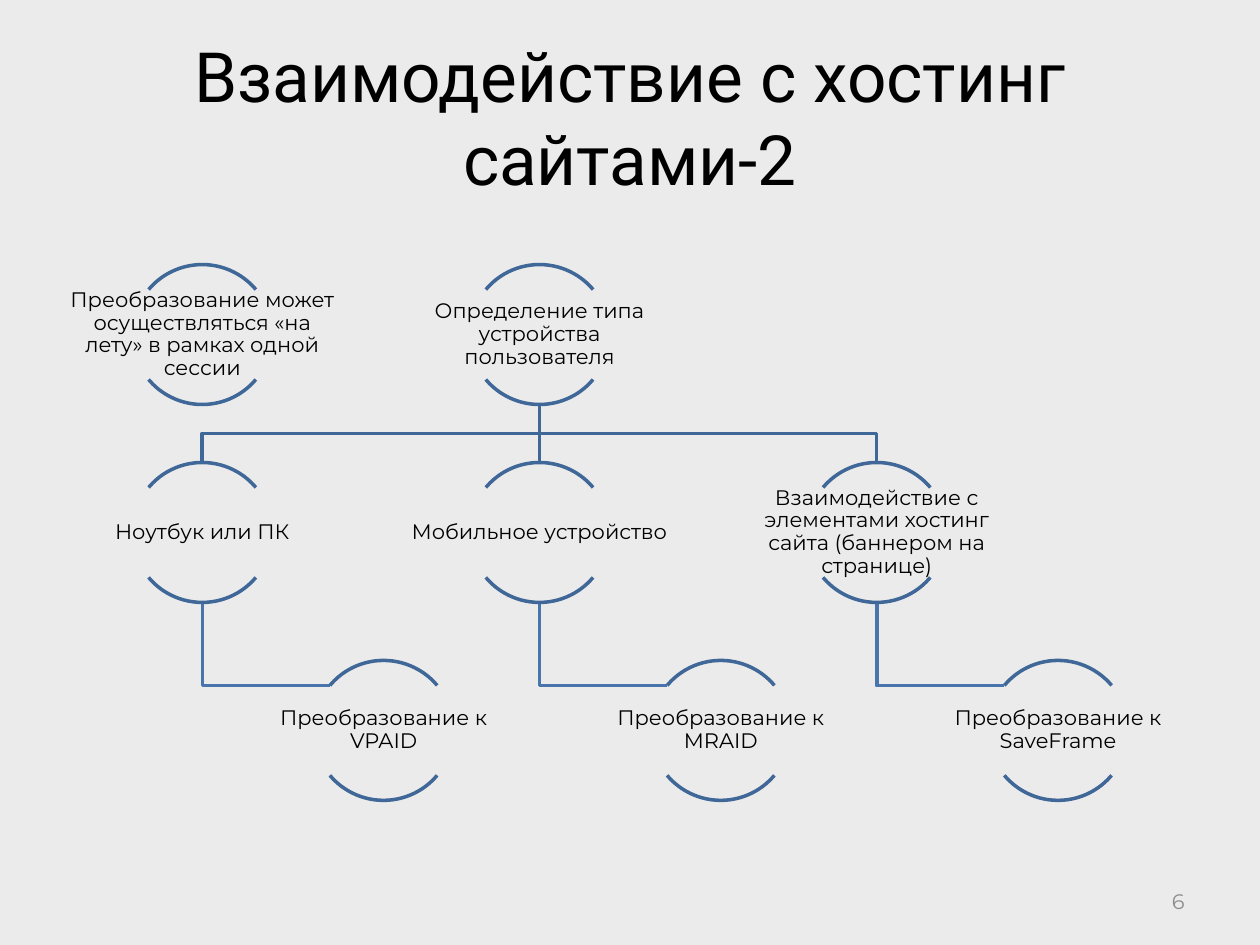
import pptx
import pptx.dml.color
import pptx.enum.shapes
import pptx.enum.text
import pptx.oxml
import pptx.util

Pt = pptx.util.Pt
RGBColor = pptx.dml.color.RGBColor
ALIGN = pptx.enum.text.PP_ALIGN
MIDDLE = pptx.enum.text.MSO_ANCHOR.MIDDLE

BACKGROUND = RGBColor(0xEB, 0xEB, 0xEB)
BLACK = RGBColor(0x00, 0x00, 0x00)
GRAY = RGBColor(0x8C, 0x8C, 0x8C)
DARK_BLUE = RGBColor(0x3F, 0x67, 0x97)
BLUE = RGBColor(0x48, 0x75, 0xAC)

COLUMNS = [115.6 + 192.7 * column for column in range(3)]
ROWS = [151.2 + 113.1 * row for row in range(3)]
CHILD_SHIFT = 103.6
DIAMETER = 80
LABEL_WIDTH, LABEL_HEIGHT, LABEL_DROP = 159.1, 51.1, 14.4
ARC_END = 30.6
# Arc adjustments are degrees * 60000, scaled by 1 / 100000.
ARCS = [(220, 320), (40, 140)]


def write(shape, text, size, font, color, align):
    """Put one formatted run, centred vertically, into a shape."""
    frame = shape.text_frame
    frame.word_wrap = True
    frame.vertical_anchor = MIDDLE
    paragraph = frame.paragraphs[0]
    paragraph.alignment = align
    run = paragraph.add_run()
    run.text = text
    run.font.size = Pt(size)
    run.font.name = font
    run.font.color.rgb = color
    return paragraph


def draw_path(points, color):
    """Draw an open, unfilled line through points."""
    corners = [(Pt(x), Pt(y)) for x, y in points]
    builder = slide.shapes.build_freeform(*corners[0])
    builder.add_line_segments(corners[1:], close=False)
    shape = builder.convert_to_shape()
    shape.shadow.inherit = False
    shape.fill.background()
    shape.line.color.rgb = color
    shape.line.width = Pt(2)


presentation = pptx.Presentation()
presentation.slide_width = Pt(720)
presentation.slide_height = Pt(540)
slide = presentation.slides.add_slide(presentation.slide_layouts[5])
slide.background.fill.solid()
slide.background.fill.fore_color.rgb = BACKGROUND

title = slide.shapes.title
title.left, title.top, title.width, title.height = Pt(36), Pt(21.6), Pt(648), Pt(90)
write(title, "Взаимодействие с хостинг сайтами-2", 39.6, "Roboto", BLACK, ALIGN.CENTER)

# Lines from the device check to its branches, and from each branch to its child
root = COLUMNS[1]
root_bottom = ROWS[0] + DIAMETER
branch_middle = (root_bottom + ROWS[1]) / 2
for center in COLUMNS:
    child_top = ROWS[2] + LABEL_DROP
    draw_path([(center, ROWS[1] + DIAMETER), (center, child_top),
               (center + CHILD_SHIFT - ARC_END, child_top)], BLUE)
    if center != root:
        draw_path([(root, root_bottom), (root, branch_middle),
                   (center, branch_middle), (center, ROWS[1])], DARK_BLUE)

trunk = slide.shapes.add_connector(pptx.enum.shapes.MSO_CONNECTOR.STRAIGHT,
                                   Pt(root), Pt(root_bottom), Pt(root), Pt(ROWS[1]))
trunk.line.color.rgb = DARK_BLUE
trunk.line.width = Pt(2)
trunk._element.spPr.append(pptx.oxml.parse_xml(
    '<a:effectLst xmlns:a="http://schemas.openxmlformats.org/drawingml/2006/main"/>'))

# Nodes: column, row, text
nodes = [
    (0, 0, "Преобразование может осуществляться «на лету» в рамках одной сессии"),
    (1, 0, "Определение типа устройства пользователя"),
    (0, 1, "Ноутбук или ПК"),
    (0, 2, "Преобразование к VPAID"),
    (1, 1, "Мобильное устройство"),
    (1, 2, "Преобразование к MRAID"),
    (2, 1, "Взаимодействие с элементами хостинг сайта (баннером на странице)"),
    (2, 2, "Преобразование к SaveFrame"),
]
for column, row, text in nodes:
    center = COLUMNS[column] + (CHILD_SHIFT if row == 2 else 0)
    top = ROWS[row]
    for start, end in ARCS:
        arc = slide.shapes.add_shape(pptx.enum.shapes.MSO_SHAPE.ARC,
                                     Pt(center - DIAMETER / 2), Pt(top),
                                     Pt(DIAMETER), Pt(DIAMETER))
        arc.adjustments[0] = start * 0.6
        arc.adjustments[1] = end * 0.6
        arc.shadow.inherit = False
        arc.fill.background()
        arc.line.color.rgb = DARK_BLUE
        arc.line.width = Pt(2)
    label = slide.shapes.add_textbox(Pt(center - LABEL_WIDTH / 2), Pt(top + LABEL_DROP),
                                     Pt(LABEL_WIDTH), Pt(LABEL_HEIGHT))
    frame = label.text_frame
    frame.margin_left = frame.margin_right = Pt(0.6)
    frame.margin_top = frame.margin_bottom = Pt(0.6)
    paragraph = write(label, text, 12, "Montserrat", BLACK, ALIGN.CENTER)
    paragraph.line_spacing = 0.9

page_number = slide.shapes.add_textbox(Pt(516), Pt(500.5), Pt(168), Pt(28.75))
write(page_number, "6", 12, "Montserrat", GRAY, ALIGN.RIGHT)

presentation.save("out.pptx")
